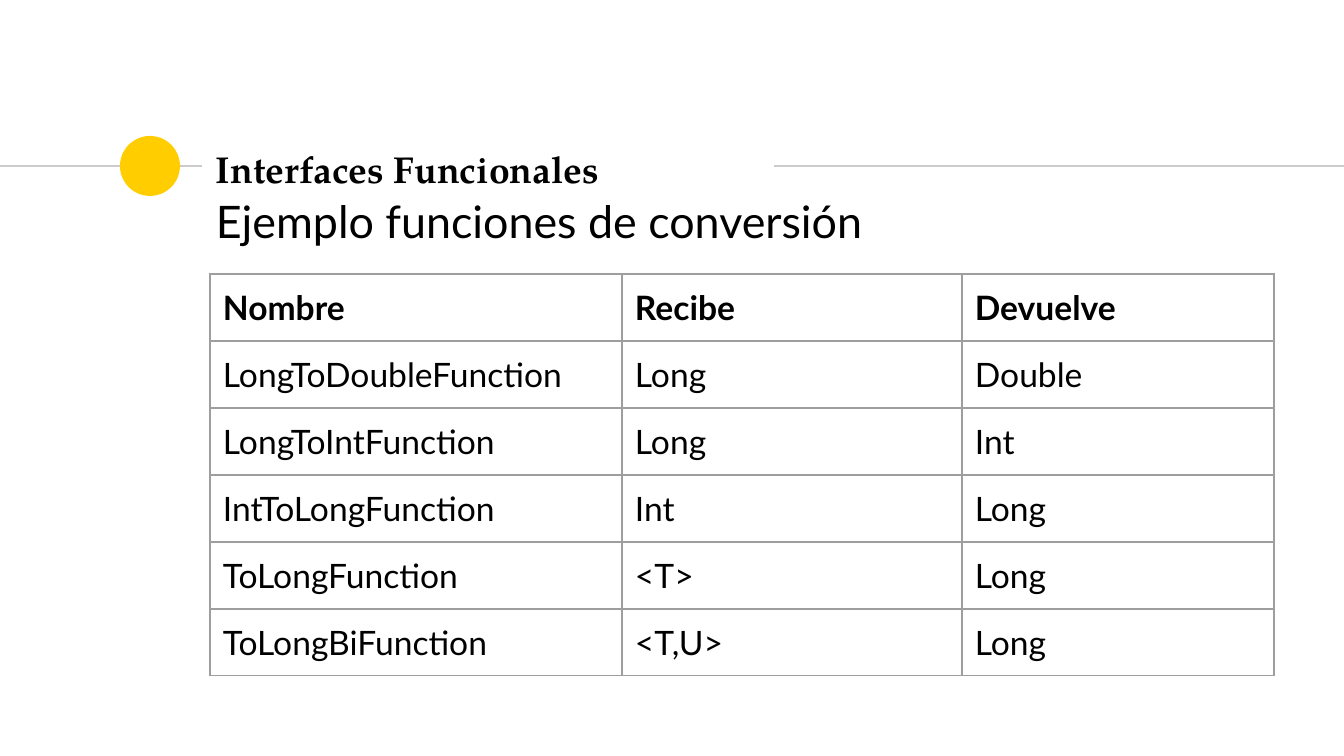
"""Builds the slide on conversion functions among the functional interfaces."""
from lxml import etree
from pptx import Presentation
from pptx.dml.color import RGBColor
from pptx.enum.shapes import MSO_CONNECTOR, MSO_SHAPE
from pptx.enum.text import MSO_ANCHOR
from pptx.oxml import parse_xml
from pptx.oxml.ns import qn
from pptx.util import Pt

STRAIGHT = MSO_CONNECTOR.STRAIGHT
OVAL = MSO_SHAPE.OVAL
TOP, MIDDLE = MSO_ANCHOR.TOP, MSO_ANCHOR.MIDDLE

BLACK = RGBColor(0x00, 0x00, 0x00)
YELLOW = RGBColor(0xFF, 0xCD, 0x00)
RULE_GRAY = RGBColor(0xCC, 0xCC, 0xCC)
BORDER_GRAY = RGBColor(0x9E, 0x9E, 0x9E)

TITLE_FONT, BODY_FONT = "TeX Gyre Pagella", "Lato"
TITLE = "Interfaces Funcionales"
SUBTITLE = "Ejemplo funciones de conversión"
ROWS = [
    ("Nombre", "Recibe", "Devuelve"),
    ("LongToDoubleFunction", "Long", "Double"),
    ("LongToIntFunction", "Long", "Int"),
    ("IntToLongFunction", "Int", "Long"),
    ("ToLongFunction", "<T>", "Long"),
    ("ToLongBiFunction", "<T,U>", "Long"),
]

SLIDE_W, SLIDE_H = 1344, 756
RULE_Y = 166
RULES = [(0, 202), (774, SLIDE_W)]
DOT_X, DOT_SIZE = 120, 60
TITLE_BOX = (203, 136, 570, 65)
SUBTITLE_BOX = (203, 181, 1106, 103)
TABLE_X, TABLE_Y = 210, 274
COL_WIDTHS = (412, 340, 312)
ROW_H = 67
INSET = 13


def px(n):
    return round(n * 9144000 / SLIDE_W)


def set_insets(frame):
    frame.margin_left = frame.margin_right = px(INSET)
    frame.margin_top = frame.margin_bottom = px(INSET)


def format_text(p, font, size, bold=False):
    for r in p.runs:
        r.font.name = font
        r.font.size = Pt(size)
        r.font.bold = bold
        r.font.color.rgb = BLACK


def add_rule(slide, x1, x2):
    line = slide.shapes.add_connector(STRAIGHT, px(x1), px(RULE_Y), px(x2), px(RULE_Y))
    line.line.color.rgb = RULE_GRAY
    line.line.width = Pt(0.75)
    etree.SubElement(line._element.spPr, qn("a:effectLst"))


def add_dot(slide):
    dot = slide.shapes.add_shape(
        OVAL, px(DOT_X), px(RULE_Y - DOT_SIZE / 2), px(DOT_SIZE), px(DOT_SIZE))
    dot.shadow.inherit = False
    dot.fill.solid()
    dot.fill.fore_color.rgb = YELLOW
    dot.line.fill.background()


def add_text(slide, box, text, font, size, bold, anchor, space=0):
    tf = slide.shapes.add_textbox(*map(px, box)).text_frame
    tf.word_wrap = True
    tf.vertical_anchor = anchor
    set_insets(tf)
    p = tf.paragraphs[0]
    p.text = text
    p.space_before = Pt(space)
    format_text(p, font, size, bold)


def set_borders(cell):
    tc_pr = cell._tc.get_or_add_tcPr()
    for i, side in enumerate(("lnL", "lnR", "lnT", "lnB")):
        tc_pr.insert(i, parse_xml(
            f'<a:{side} xmlns:a="http://schemas.openxmlformats.org/drawingml/2006/main"'
            f' w="{Pt(0.75)}"><a:solidFill><a:srgbClr val="{BORDER_GRAY}"/>'
            f'</a:solidFill></a:{side}>'))


def add_function_table(slide):
    table = slide.shapes.add_table(
        len(ROWS), len(COL_WIDTHS), px(TABLE_X), px(TABLE_Y),
        px(sum(COL_WIDTHS)), px(ROW_H * len(ROWS))).table
    table.horz_banding = False
    for column, width in zip(table.columns, COL_WIDTHS):
        column.width = px(width)
    for i, values in enumerate(ROWS):
        table.rows[i].height = px(ROW_H)
        for j, value in enumerate(values):
            cell = table.cell(i, j)
            cell.fill.background()
            set_insets(cell)
            set_borders(cell)
            p = cell.text_frame.paragraphs[0]
            p.text = value
            format_text(p, BODY_FONT, 18, i == 0)


def main():
    prs = Presentation()
    prs.slide_width, prs.slide_height = px(SLIDE_W), px(SLIDE_H)
    s = prs.slides.add_slide(prs.slide_layouts[6])
    left_rule, right_rule = RULES
    add_rule(s, *left_rule)
    add_dot(s)
    add_rule(s, *right_rule)
    add_text(s, TITLE_BOX, TITLE, TITLE_FONT, 20, True, MIDDLE)
    add_function_table(s)
    add_text(s, SUBTITLE_BOX, SUBTITLE, BODY_FONT, 24, False, TOP, 6)
    prs.save("out.pptx")


if __name__ == "__main__":
    main()
